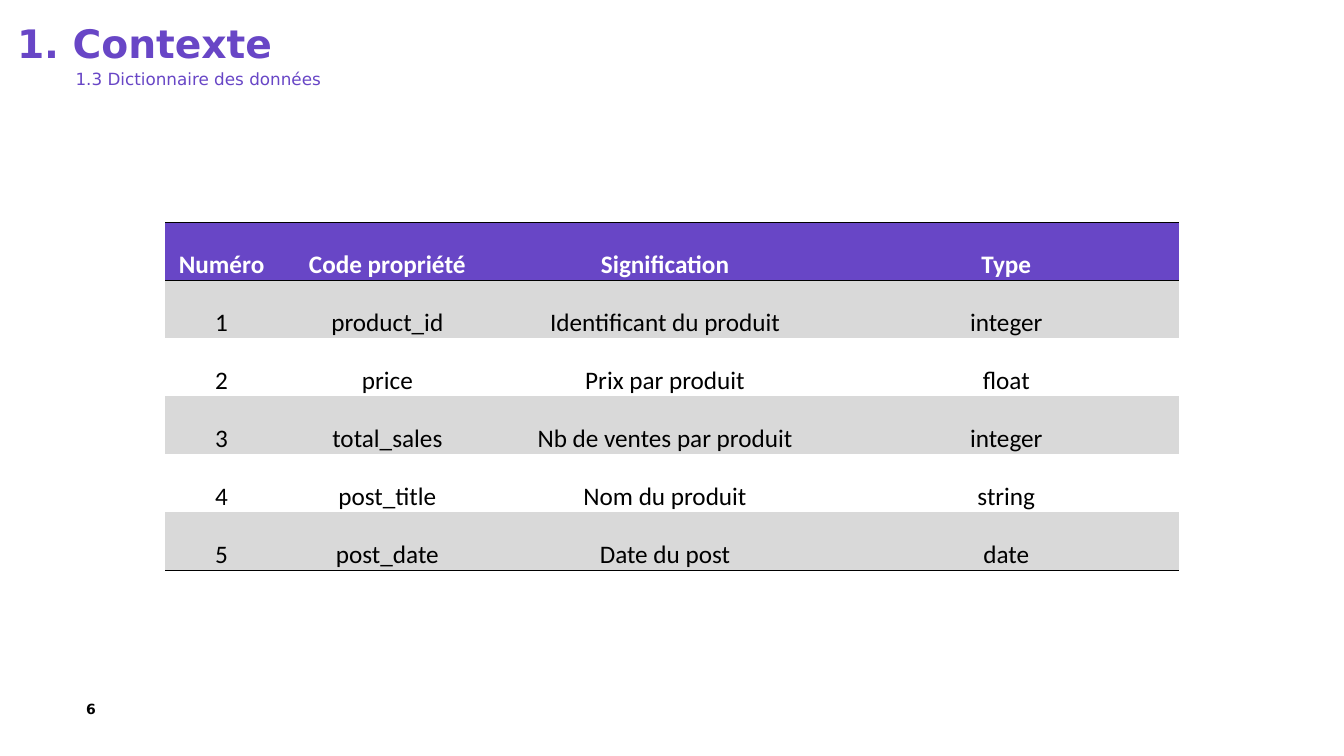
from dataclasses import dataclass

from lxml import etree
from pptx import Presentation
from pptx.dml.color import RGBColor
from pptx.enum.text import MSO_ANCHOR, PP_ALIGN
from pptx.oxml.ns import qn
from pptx.slide import Slide
from pptx.table import _Cell
from pptx.text.text import _Paragraph
from pptx.util import Pt

LEFT, CENTER, RIGHT = PP_ALIGN.LEFT, PP_ALIGN.CENTER, PP_ALIGN.RIGHT
TOP, MIDDLE, BOTTOM = MSO_ANCHOR.TOP, MSO_ANCHOR.MIDDLE, MSO_ANCHOR.BOTTOM

PURPLE = RGBColor(0x68, 0x46, 0xC6)
GREY = RGBColor(0xD9, 0xD9, 0xD9)
BLACK = RGBColor(0, 0, 0)
WHITE = RGBColor(0xFF, 0xFF, 0xFF)

HEADING_FONT = "DejaVu Sans"
TABLE_FONT = "Calibri"

TABLE_LEFT, TABLE_TOP = 118, 159
ROW_HEIGHT = 41.4
COLUMN_WIDTHS = (80.6, 156.2, 240.5, 247)
RULE_WIDTH = 1
CELL_FORMAT = {
    "margin_left": Pt(0.7),
    "margin_right": Pt(0.7),
    "margin_top": Pt(0.7),
    "margin_bottom": Pt(0),
    "vertical_anchor": BOTTOM,
}
DICTIONARY = (
    ("Numéro", "Code propriété", "Signiﬁcation", "Type"),
    ("1", "product_id", "Identificant du produit", "integer"),
    ("2", "price", "Prix par produit", "float"),
    ("3", "total_sales", "Nb de ventes par produit", "integer"),
    ("4", "post_title", "Nom du produit", "string"),
    ("5", "post_date", "Date du post", "date"),
)


@dataclass(frozen=True)
class Label:
    text: str
    left: float
    top: float
    width: float
    height: float
    size: float
    color: RGBColor
    bold: bool = False
    align: PP_ALIGN = LEFT
    anchor: MSO_ANCHOR = TOP
    space_before: float = 0
    insets: tuple[float, float, float, float] = (0, 0, 0, 0)


LABELS = (
    Label("6", 30.2, 495.4, 46.8, 22.3, 10, BLACK, bold=True,
          align=RIGHT, anchor=MIDDLE, insets=(7.2, 3.6, 8.6, 3.6)),
    Label("1. Contexte", 12.2, 13.7, 859.7, 29.5, 28, PURPLE, bold=True,
          space_before=6),
    Label("1.3 Dictionnaire des données", 54, 49, 275.8, 14.4, 12, PURPLE),
)


def write_text(paragraph: _Paragraph, text: str, align: PP_ALIGN,
               color: RGBColor, font_format: dict[str, object]) -> None:
    paragraph.alignment = align
    run = paragraph.add_run()
    run.text = text
    run.font.color.rgb = color
    for attribute, value in font_format.items():
        setattr(run.font, attribute, value)


def add_label(slide: Slide, label: Label) -> None:
    box = slide.shapes.add_textbox(Pt(label.left), Pt(label.top),
                                   Pt(label.width), Pt(label.height))
    left, top, right, bottom = label.insets
    frame_format = {
        "word_wrap": True,
        "vertical_anchor": label.anchor,
        "margin_left": Pt(left),
        "margin_top": Pt(top),
        "margin_right": Pt(right),
        "margin_bottom": Pt(bottom),
    }
    for attribute, value in frame_format.items():
        setattr(box.text_frame, attribute, value)
    paragraph = box.text_frame.paragraphs[0]
    paragraph.space_before = Pt(label.space_before)
    write_text(paragraph, label.text, label.align, label.color,
               {"name": HEADING_FONT, "size": Pt(label.size), "bold": label.bold})


def set_borders(cell: _Cell, ruled_sides: set[str]) -> None:
    """Rule the given sides (L, R, T, B) in black and clear the others."""
    properties = cell._tc.get_or_add_tcPr()
    for side in "LRTB":
        border = etree.SubElement(properties, qn(f"a:ln{side}"))
        if side in ruled_sides:
            border.set("w", str(Pt(RULE_WIDTH)))
            fill = etree.SubElement(border, qn("a:solidFill"))
            etree.SubElement(fill, qn("a:srgbClr"), val=str(BLACK))
        else:
            border.set("w", "0")
            etree.SubElement(border, qn("a:noFill"))


def add_dictionary(slide: Slide) -> None:
    row_count = len(DICTIONARY)
    table = slide.shapes.add_table(
        row_count, len(COLUMN_WIDTHS), Pt(TABLE_LEFT), Pt(TABLE_TOP),
        Pt(sum(COLUMN_WIDTHS)), Pt(ROW_HEIGHT * row_count)).table
    table.horz_banding = False
    for column, width in zip(table.columns, COLUMN_WIDTHS):
        column.width = Pt(width)

    for row_index, entries in enumerate(DICTIONARY):
        table.rows[row_index].height = Pt(ROW_HEIGHT)
        is_header = row_index == 0
        ruled_sides = set()
        if row_index <= 1:
            ruled_sides.add("T")
        if is_header or row_index == row_count - 1:
            ruled_sides.add("B")

        for column_index, entry in enumerate(entries):
            cell = table.cell(row_index, column_index)
            for attribute, value in CELL_FORMAT.items():
                setattr(cell, attribute, value)
            set_borders(cell, ruled_sides)
            if is_header or row_index % 2:
                cell.fill.solid()
                cell.fill.fore_color.rgb = PURPLE if is_header else GREY
            else:
                cell.fill.background()
            write_text(cell.text_frame.paragraphs[0], entry, CENTER,
                       WHITE if is_header else BLACK,
                       {"name": TABLE_FONT, "size": Pt(18), "bold": is_header})


def main() -> None:
    presentation = Presentation()
    presentation.slide_width = Pt(960)
    presentation.slide_height = Pt(540)
    slide = presentation.slides.add_slide(presentation.slide_layouts[6])
    for label in LABELS:
        add_label(slide, label)
    add_dictionary(slide)
    presentation.save("out.pptx")


if __name__ == "__main__":
    main()
